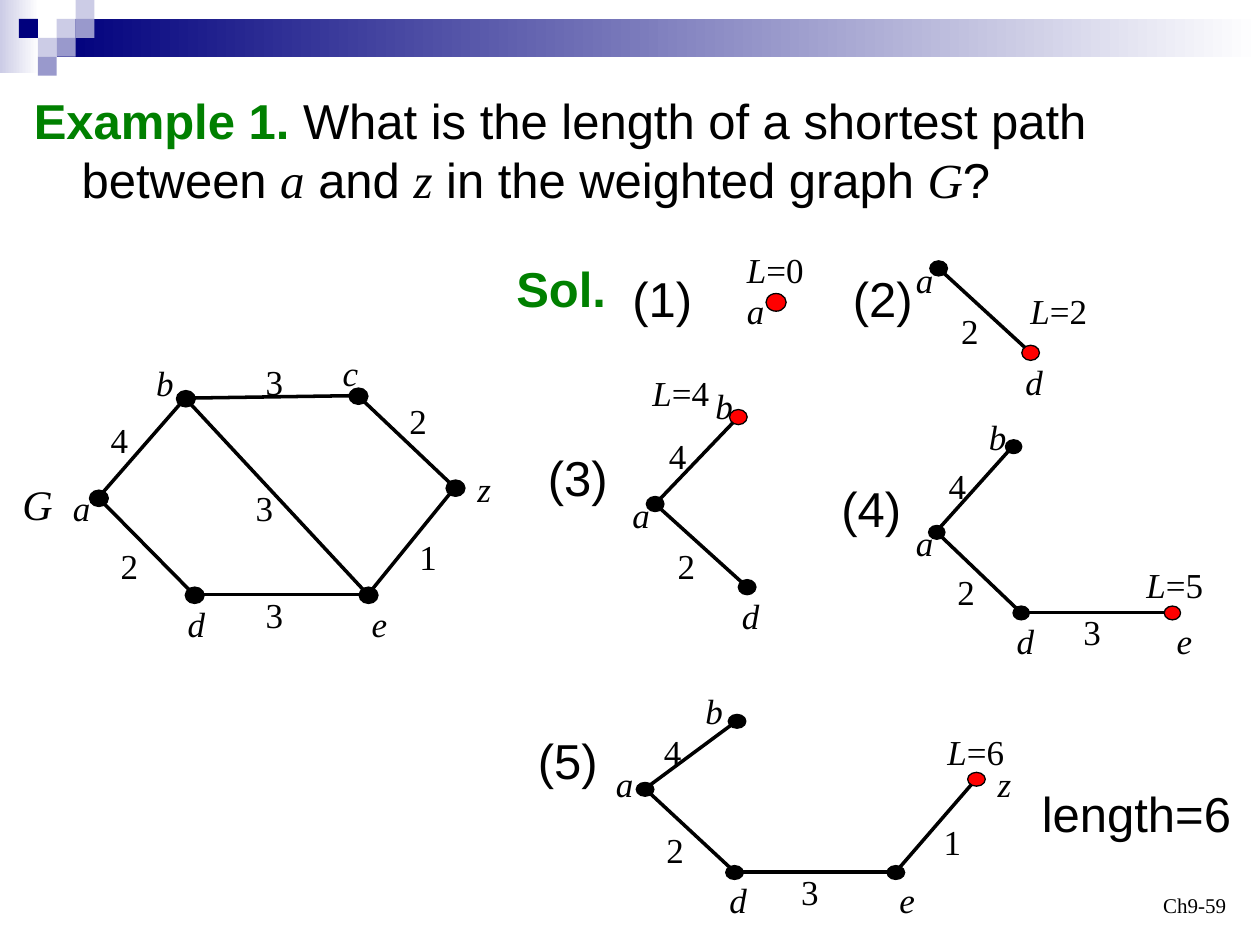
from lxml import etree
from pptx import Presentation
from pptx.dml.color import RGBColor
from pptx.enum.shapes import MSO_CONNECTOR, MSO_SHAPE
from pptx.enum.text import MSO_ANCHOR, MSO_AUTO_SIZE, PP_ALIGN
from pptx.oxml.ns import qn
from pptx.util import Emu, Pt

RECTANGLE = MSO_SHAPE.RECTANGLE
NODE_SHAPE = MSO_SHAPE.FLOWCHART_CONNECTOR
STRAIGHT = MSO_CONNECTOR.STRAIGHT
FIT_SHAPE = MSO_AUTO_SIZE.SHAPE_TO_FIT_TEXT
BOTTOM = MSO_ANCHOR.BOTTOM
RIGHT = PP_ALIGN.RIGHT

SCALE = 9144
COLORS = {
    "black": "000000", "white": "FFFFFF", "red": "FF0000", "green": "008000",
    "navy": "00007D", "lilac": "CCCCE6", "violet": "9999CC",
}
SANS, SERIF = "Arial", "Times New Roman"
STYLES = {
    "heading": {"name": SANS, "size": Pt(28), "bold": True},
    "body": {"name": SANS, "size": Pt(28)},
    "variable": {"name": SERIF, "size": Pt(28), "italic": True},
    "graph name": {"name": SERIF, "size": Pt(24), "italic": True},
    "vertex": {"name": SERIF, "size": Pt(20), "italic": True},
    "number": {"name": SERIF, "size": Pt(20)},
    "footer": {"name": SERIF, "size": Pt(12)},
}
LABEL_WIDTHS = {"c": 32, "e": 32, "z": 31}

QUESTION = [
    ("Example 1. ", "heading"),
    ("What is the length of a shortest path between ", "body"),
    ("a", "variable"), (" and ", "body"), ("z", "variable"),
    (" in the weighted graph ", "body"), ("G", "variable"), ("?", "body"),
]

WEIGHTED_GRAPH = {
    "size": (15, 13),
    "nodes": {
        "a": ((30, 121), (0, 107)), "b": ((99, 42), (66, 8)),
        "c": ((236, 40), (214, 0)), "d": ((106, 198), (91, 199)),
        "e": ((244, 198), (237, 199)), "z": ((313, 113), (321, 92)),
    },
    "edges": [
        ("ab", "4", (30, 53)), ("ad", "2", (38, 153)), ("bc", "3", (153, 7)),
        ("be", "3", (145, 107)), ("de", "3", (153, 192)),
        ("cz", "2", (267, 38)), ("ez", "1", (275, 146)),
    ],
}

STEPS = [
    ((492, 192), {
        "title": ("(1)", (0, 16)), "size": (16, 14),
        "target": "a", "length": ("=0", (91, 0)),
        "nodes": {"a": ((124, 48), (91, 33))},
        "edges": [],
    }),
    ((667, 200), {
        "title": ("(2)", (0, 8)), "size": (14, 12),
        "target": "d", "length": ("=2", (141, 25)),
        "nodes": {"a": ((78, 13), (50, 0)), "d": ((151, 80), (137, 81))},
        "edges": [("ad", "2", (86, 41))],
    }),
    ((425, 290), {
        "title": ("(3)", (0, 60)), "size": (14, 12),
        "target": "b", "length": ("=4", (83, 0)),
        "nodes": {"a": ((95, 110), (67, 97)), "b": ((161, 41), (133, 10)),
                  "d": ((168, 176), (154, 177))},
        "edges": [("ab", "4", (96, 50)), ("ad", "2", (103, 137))],
    }),
    ((658, 325), {
        "title": ("(4)", (0, 50)), "size": (13, 11),
        "target": "e", "length": ("=5", (242, 117)),
        "nodes": {"a": ((85, 97), (59, 84)), "b": ((146, 29), (117, 0)),
                  "d": ((152, 161), (139, 162)), "e": ((272, 161), (266, 162))},
        "edges": [("ab", "4", (85, 39)), ("ad", "2", (92, 123)),
                  ("de", "3", (192, 155))],
    }),
    ((417, 542), {
        "title": ("(5)", (0, 33)), "size": (14, 11),
        "target": "z", "length": ("=6", (325, 33)),
        "nodes": {"a": ((95, 84), (62, 58)), "b": ((168, 30), (133, 0)),
                  "d": ((166, 150), (152, 150)), "e": ((294, 150), (287, 150)),
                  "z": ((358, 76), (365, 58))},
        "edges": [("ab", "4", (100, 33)), ("ad", "2", (102, 111)),
                  ("de", "3", (209, 144)), ("ez", "1", (322, 104))],
    }),
]


def px(*lengths):
    return [Emu(length * SCALE) for length in lengths]


def rgb(color):
    return RGBColor.from_string(COLORS[color])


def shift(origin, offset):
    return origin[0] + offset[0], origin[1] + offset[1]


def add_text(page, box, spans, color="black", wrap=False):
    frame = page.shapes.add_textbox(*px(*box)).text_frame
    frame.word_wrap = wrap
    frame.auto_size = FIT_SHAPE
    for text, style in spans:
        span = frame.paragraphs[0].add_run()
        span.text = text
        for key, value in STYLES[style].items():
            setattr(span.font, key, value)
        span.font.color.rgb = rgb(color)
    return frame


def add_shape(page, kind, box, fill):
    shape = page.shapes.add_shape(kind, *px(*box))
    shape.shadow.inherit = False
    shape.line.fill.background()
    if isinstance(fill, tuple):
        shape.fill.gradient()
        shape.fill.gradient_angle = 0
        for stop, color in zip(shape.fill.gradient_stops, fill):
            stop.color.rgb = rgb(color)
    else:
        shape.fill.solid()
        shape.fill.fore_color.rgb = rgb(fill)
    return shape


def add_edge(page, start, end):
    edge = page.shapes.add_connector(STRAIGHT, *px(*start, *end))
    edge.line.color.rgb = rgb("black")
    edge.line.width = Pt(2)
    etree.SubElement(edge._element.spPr, qn("a:effectLst"))


def add_header(page, box):
    left, top, width, height = box
    add_shape(page, RECTANGLE, (left, top, 31, height), ("lilac", "white"))
    add_shape(page, RECTANGLE, (left + 45, top + 15, width - 45, 30), ("navy", "white"))
    tiles = [(3, 1, "lilac"), (4, 0, "lilac"), (4, 1, "violet"), (2, 2, "lilac"),
             (1, 1, "navy"), (3, 2, "violet"), (2, 3, "violet")]
    for column, row, color in tiles:
        tile = (left + 15 * column, top + 15 * row, 15, 15)
        add_shape(page, RECTANGLE, tile, color)


def add_question(page, box):
    para = add_text(page, box, QUESTION, wrap=True).paragraphs[0]
    properties = para._p.get_or_add_pPr()
    indent = 38 * SCALE
    properties.set("marL", str(indent))
    properties.set("indent", str(-indent))
    para.runs[0].font.color.rgb = rgb("green")


def add_graph(page, origin, graph):
    nodes = graph["nodes"]
    width, height = graph["size"]
    for ends, weight, offset in graph["edges"]:
        start, end = (shift(origin, nodes[name][0]) for name in ends)
        add_edge(page, start, end)
        add_text(page, (*shift(origin, offset), 34, 43), [(weight, "number")])
    for name, (center, offset) in nodes.items():
        left, top = shift(origin, center)
        color = "red" if name == graph.get("target") else "black"
        box = (left - width // 2, top - height // 2, width, height)
        node = add_shape(page, NODE_SHAPE, box, color)
        node.line.color.rgb = rgb("black")
        node.line.width = Pt(0.75)
        label = (*shift(origin, offset), LABEL_WIDTHS.get(name, 34), 43)
        add_text(page, label, [(name, "vertex")])


def add_step(page, origin, step):
    title, offset = step["title"]
    add_text(page, (*shift(origin, offset), 68, 57), [(title, "body")])
    add_graph(page, origin, step)
    length, offset = step["length"]
    spans = [("L", "vertex"), (length, "number")]
    add_text(page, (*shift(origin, offset), 65, 43), spans)


def add_footer(page, box):
    frame = add_text(page, box, [("Ch9-59", "footer")], wrap=True)
    frame.auto_size = MSO_AUTO_SIZE.NONE
    frame.vertical_anchor = BOTTOM
    frame.paragraphs[0].alignment = RIGHT


def main():
    deck = Presentation()
    deck.slide_width, deck.slide_height = px(1000, 750)
    page = deck.slides.add_slide(deck.slide_layouts[6])
    add_header(page, (0, 0, 1000, 58))
    add_footer(page, (750, 683, 233, 50))
    add_question(page, (17, 67, 957, 103))
    add_text(page, (8, 375, 44, 50), [("G", "graph name")])
    add_graph(page, (48, 274), WEIGHTED_GRAPH)
    add_text(page, (400, 200, 103, 57), [("Sol.", "heading")], "green")
    add_text(page, (817, 617, 172, 57), [("length=6", "body")])
    for origin, step in STEPS:
        add_step(page, origin, step)
    deck.save("out.pptx")


if __name__ == "__main__":
    main()
